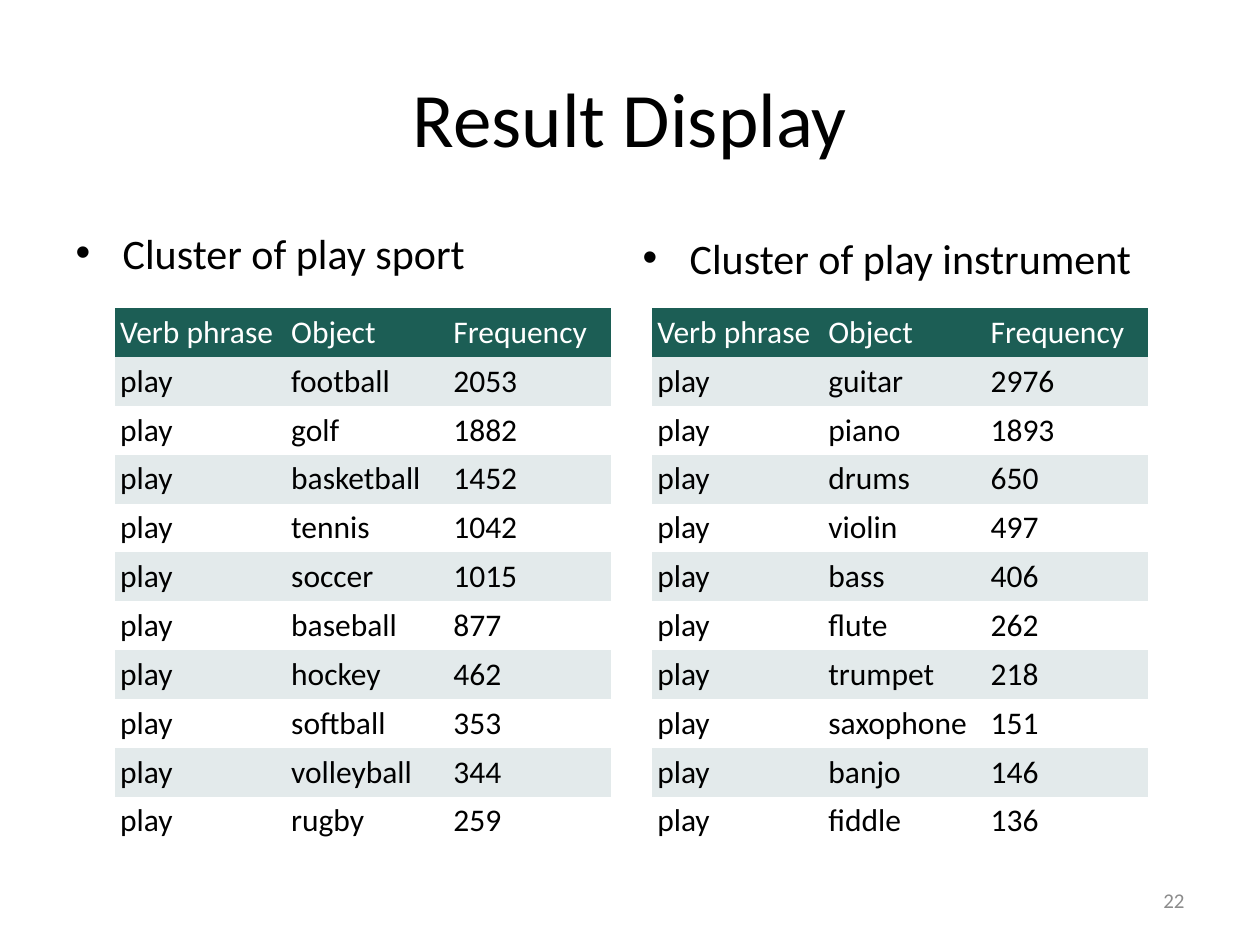
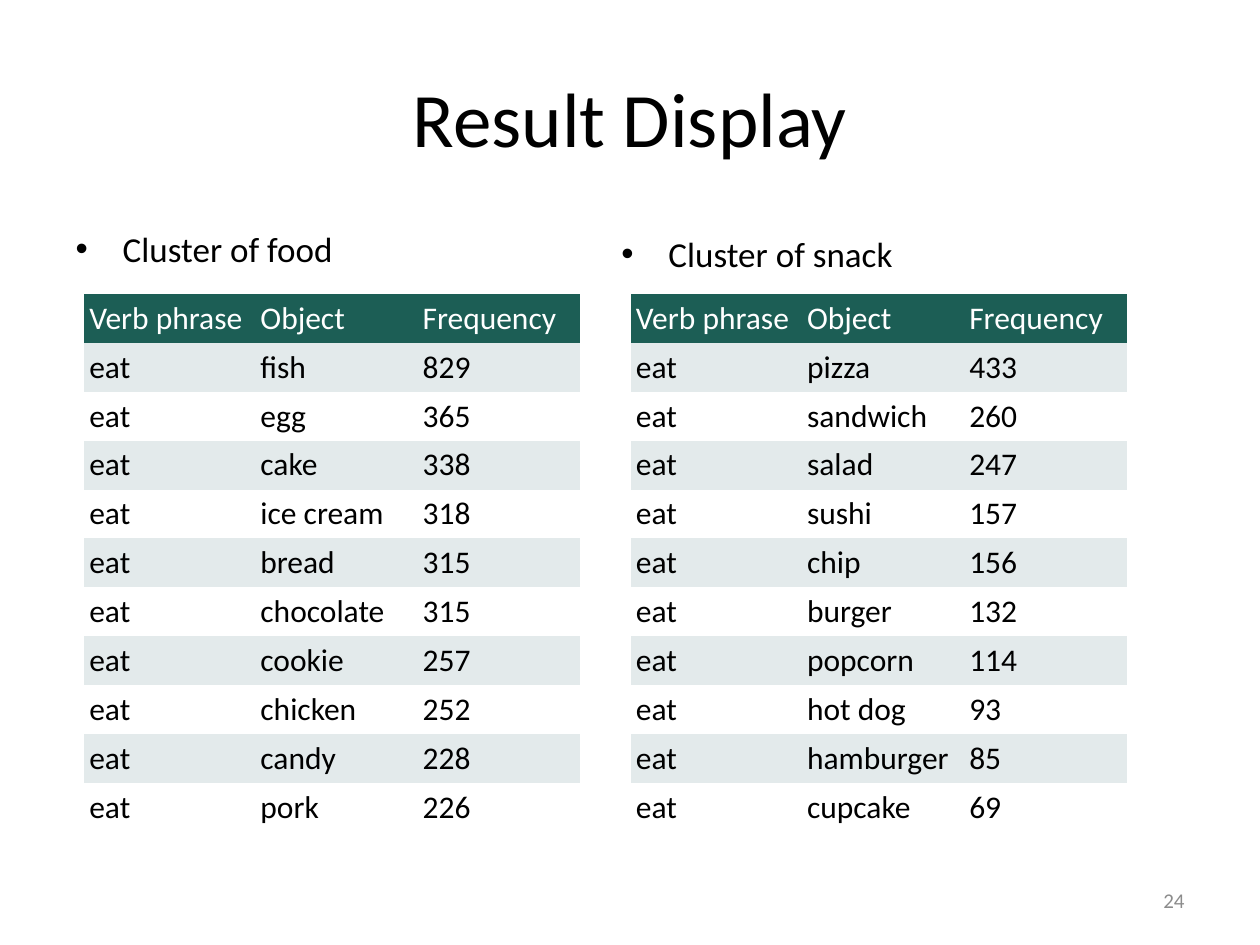
from dataclasses import dataclass

from lxml.etree import SubElement
from pptx import Presentation
from pptx.dml.color import RGBColor
from pptx.enum.text import MSO_ANCHOR, MSO_AUTO_SIZE, PP_ALIGN
from pptx.oxml.ns import qn
from pptx.util import Cm, Pt


@dataclass(frozen=True)
class Theme:
    font: str = "Calibri"
    text: str = "000000"
    muted: str = "8C8C8C"
    white: str = "FFFFFF"
    header: str = "1C5E55"
    band: str = "E3EAEB"
    title_size: int = 44
    table_size: int = 18
    number_size: int = 12


theme = Theme()
PLAIN_TABLE_STYLE = "{2D5ABB26-0587-4C30-8999-92F81FD0307C}"
COLUMN_WIDTHS = (3.45, 3.27, 3.27)
TABLE_HEIGHT = 10.84
LIST_TOPS = (4.45, 4.55)
LIST_HEIGHT = 12.57
LIST_INDENT = 0.95
HEADINGS = ("Verb phrase", "Object", "Frequency")

results = [
    {
        "number": "22", "verb": "play", "list_size": 24, "table_top": 6.21,
        "clusters": [
            {
                "name": "Cluster of play sport",
                "list_left": 1.27, "list_width": 10.36, "table_left": 2.32,
                "objects": {
                    "football": 2053, "golf": 1882, "basketball": 1452,
                    "tennis": 1042, "soccer": 1015, "baseball": 877,
                    "hockey": 462, "softball": 353, "volleyball": 344,
                    "rugby": 259,
                },
            },
            {
                "name": "Cluster of play instrument",
                "list_left": 12.7, "list_width": 10.36, "table_left": 13.15,
                "objects": {
                    "guitar": 2976, "piano": 1893, "drums": 650,
                    "violin": 497, "bass": 406, "flute": 262,
                    "trumpet": 218, "saxophone": 151, "banjo": 146,
                    "fiddle": 136,
                },
            },
        ],
    },
    {
        "number": "24", "verb": "eat", "list_size": 20, "table_top": 5.93,
        "clusters": [
            {
                "name": "Cluster of food",
                "list_left": 1.27, "list_width": 10.59, "table_left": 1.7,
                "objects": {
                    "fish": 829, "egg": 365, "cake": 338,
                    "ice cream": 318, "bread": 315, "chocolate": 315,
                    "cookie": 257, "chicken": 252, "candy": 228,
                    "pork": 226,
                },
            },
            {
                "name": "Cluster of snack",
                "list_left": 12.27, "list_width": 11.43, "table_left": 12.72,
                "objects": {
                    "pizza": 433, "sandwich": 260, "salad": 247,
                    "sushi": 157, "chip": 156, "burger": 132,
                    "popcorn": 114, "hot dog": 93, "hamburger": 85,
                    "cupcake": 69,
                },
            },
        ],
    },
]


def set_all(target, formats):
    for name, value in formats.items():
        setattr(target, name, value)


def write(text_frame, text, size, color, alignment=PP_ALIGN.LEFT, bullet=None):
    text_frame.text = text
    paragraph = text_frame.paragraphs[0]
    set_all(paragraph, {"alignment": alignment, "space_before": Pt(0)})
    if bullet:
        properties = paragraph._p.get_or_add_pPr()
        properties.set("marL", str(Cm(LIST_INDENT)))
        properties.set("indent", str(-Cm(LIST_INDENT)))
        SubElement(properties, qn("a:buFont"), typeface="Arial")
        SubElement(properties, qn("a:buChar"), char=bullet)
    font = paragraph.runs[0].font
    set_all(font, {"name": theme.font, "size": Pt(size)})
    font.color.rgb = RGBColor.from_string(color)


presentation = Presentation()
set_all(presentation, {"slide_width": Cm(25.4), "slide_height": Cm(19.05)})
layout = presentation.slide_layouts.get_by_name("Two Content")

for result in results:
    slide = presentation.slides.add_slide(layout)
    title, *lists = slide.placeholders
    set_all(title, {"left": Cm(1.27), "top": Cm(0.76), "width": Cm(22.86), "height": Cm(3.18)})
    title.text_frame.vertical_anchor = MSO_ANCHOR.MIDDLE
    write(title.text_frame, "Result Display", theme.title_size, theme.text, PP_ALIGN.CENTER)

    number = slide.shapes.add_textbox(Cm(18.2), Cm(17.65), Cm(5.93), Cm(1.01))
    set_all(number.text_frame, {"word_wrap": True, "vertical_anchor": MSO_ANCHOR.MIDDLE})
    write(number.text_frame, result["number"], theme.number_size, theme.muted, PP_ALIGN.RIGHT)

    for cluster, body, top in zip(result["clusters"], lists, LIST_TOPS):
        set_all(body, {
            "left": Cm(cluster["list_left"]), "top": Cm(top),
            "width": Cm(cluster["list_width"]), "height": Cm(LIST_HEIGHT),
        })
        set_all(body.text_frame, {"auto_size": MSO_AUTO_SIZE.NONE, "vertical_anchor": MSO_ANCHOR.TOP})
        write(body.text_frame, cluster["name"], result["list_size"], theme.text, bullet="•")

        rows = [HEADINGS]
        rows += [(result["verb"], name, str(count)) for name, count in cluster["objects"].items()]
        frame = slide.shapes.add_table(
            len(rows), len(HEADINGS), Cm(cluster["table_left"]), Cm(result["table_top"]),
            Cm(sum(COLUMN_WIDTHS)), Cm(TABLE_HEIGHT),
        )
        frame.element.find(".//" + qn("a:tableStyleId")).text = PLAIN_TABLE_STYLE
        table = frame.table
        for column, width in zip(table.columns, COLUMN_WIDTHS):
            column.width = Cm(width)
        for row_index, row in enumerate(rows):
            fill, color = (theme.band if row_index % 2 else theme.white), theme.text
            if row_index == 0:
                fill, color = theme.header, theme.white
            for cell, text in zip(table.rows[row_index].cells, row):
                write(cell.text_frame, text, theme.table_size, color)
                set_all(cell, {f"margin_{side}": Cm(0.1) for side in ("left", "top", "right", "bottom")})
                cell.vertical_anchor = MSO_ANCHOR.MIDDLE
                cell.fill.solid()
                cell.fill.fore_color.rgb = RGBColor.from_string(fill)

presentation.save("out.pptx")
